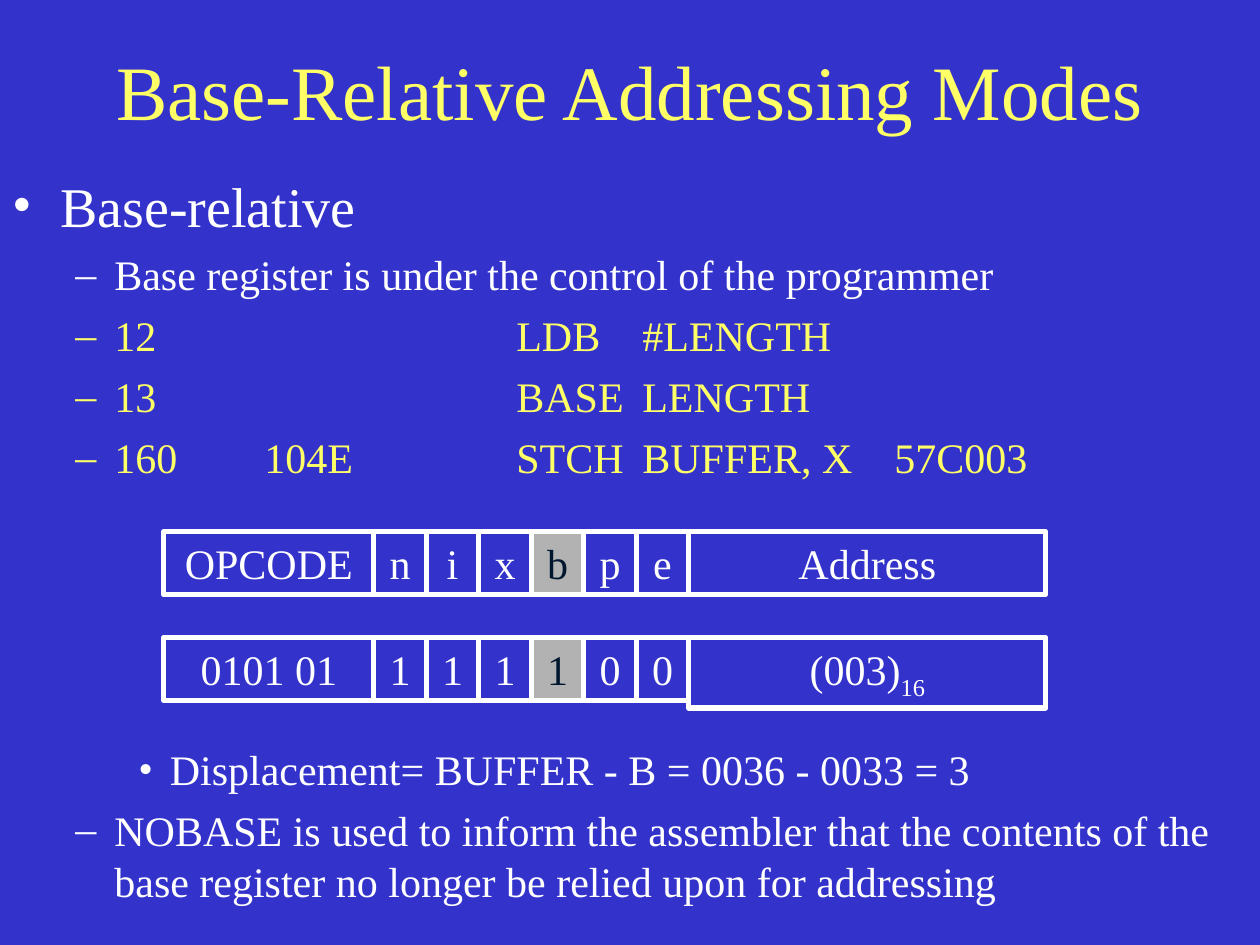
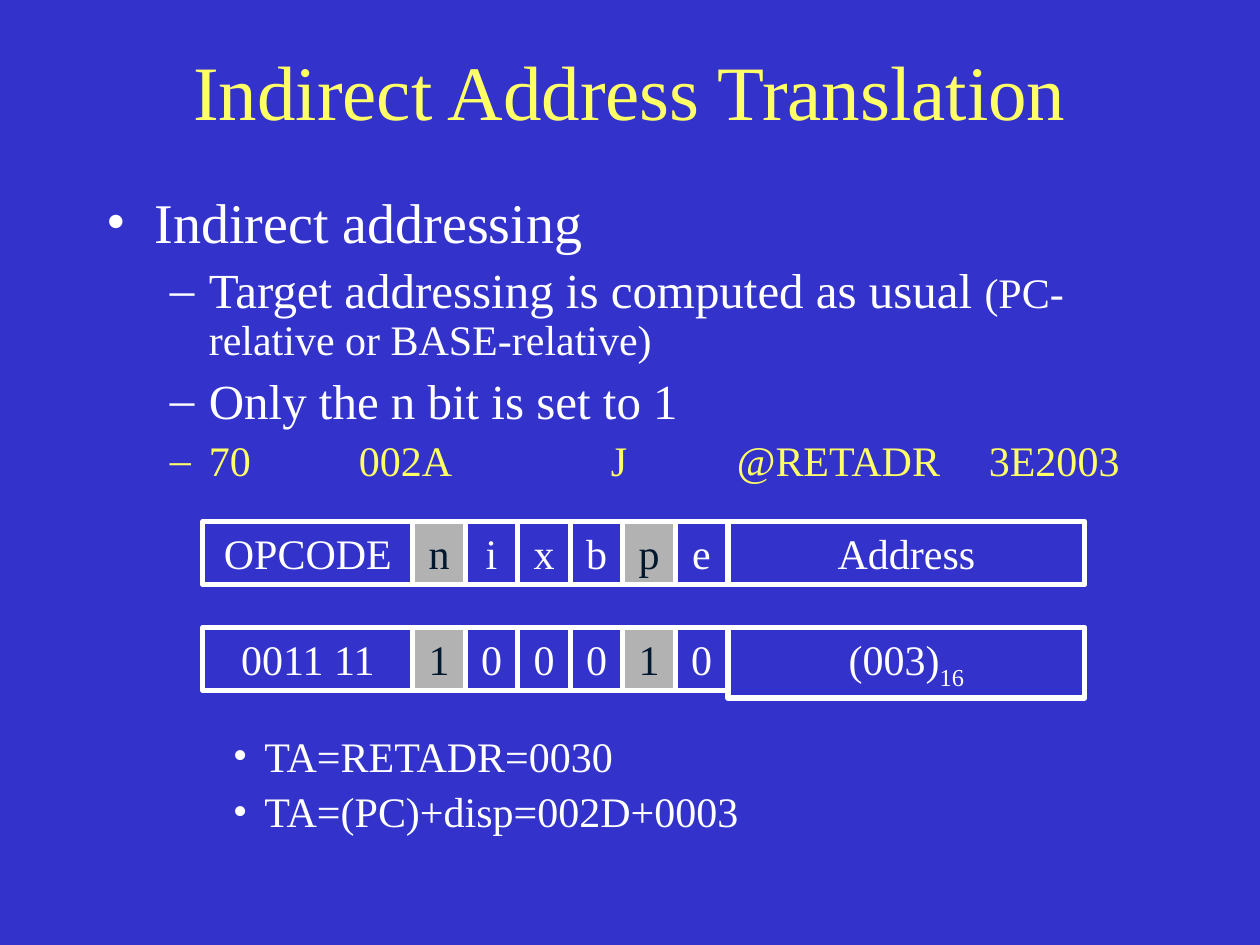
"""Build two slides on base-relative and indirect addressing."""
from lxml import etree
from pptx import Presentation
from pptx.dml.color import RGBColor
from pptx.enum.shapes import MSO_SHAPE
from pptx.enum.text import MSO_ANCHOR, PP_ALIGN
from pptx.oxml.ns import qn
from pptx.util import Inches, Pt

RECT = MSO_SHAPE.RECTANGLE
TOP, MIDDLE = MSO_ANCHOR.TOP, MSO_ANCHOR.MIDDLE
CENTER = PP_ALIGN.CENTER

BLUE = RGBColor(0x33, 0x33, 0xCC)
YELLOW = RGBColor(0xFF, 0xFF, 0x66)
WHITE = RGBColor(0xFF, 0xFF, 0xFF)
GREY = RGBColor(0xB2, 0xB2, 0xB2)
NAVY = RGBColor(0x00, 0x17, 0x2E)
FONT = "Times New Roman"

LEVELS = [("•", 0.38, 0.38), ("–", 0.81, 0.31), ("•", 1.25, 0.25)]
FIELDS = ["OPCODE", "n", "i", "x", "b", "p", "e", "Address"]
UNIT = 5 / 12
FIELD_UNITS = [4, 1, 1, 1, 1, 1, 1, 6.8]
ROW_PITCH, ROW_HEIGHT, SUBSCRIPT_HEIGHT = 0.84, 0.5, 0.56

# Each paragraph: level, space before, colour, runs of (text, size)
SLIDES = [
    {
        "title": "Base-Relative Addressing Modes",
        "body_at": (0, 1.31, 9.8, 5.92),
        "line_spacing": 1.0,
        "body": [
            (0, 0, WHITE, [("Base-relative", 32)]),
            (1, 6, WHITE, [("Base register is under the control of the programmer", 24)]),
            (1, 6, YELLOW, [("12\t\t\tLDB\t#LENGTH", 24)]),
            (1, 6, YELLOW, [("13\t\t\tBASE\tLENGTH", 24)]),
            (1, 6, YELLOW, [("160\t104E\t\tSTCH\tBUFFER, X\t57C003", 24)]),
            (2, 149.5, WHITE, [("Displacement= BUFFER - B = 0036 - 0033 = 3", 24)]),
            (1, 6, WHITE, [("NOBASE is used to inform the assembler that the contents of "
                            "the base register no longer be relied upon for addressing", 24)]),
        ],
        "format_at": (1.3, 4.22),
        "values": ["0101 01", "1", "1", "1", "1", "0", "0", "(003)"],
        "marked": "b",
    },
    {
        "title": "Indirect Address Translation",
        "body_at": (0.75, 1.5, 8.5, 5.17),
        "line_spacing": 0.9,
        "body": [
            (0, 0, WHITE, [("Indirect addressing", 32)]),
            (1, 6, WHITE, [("Target addressing is computed as usual ", 28),
                           ("(PC-relative or BASE-relative)", 24)]),
            (1, 7, WHITE, [("Only the n bit is set to 1", 28)]),
            (1, 6, YELLOW, [("70\t002A\t\tJ\t@RETADR\t3E2003", 24)]),
            (2, 143, WHITE, [("TA=RETADR=0030", 24)]),
            (2, 6, WHITE, [("TA=(PC)+disp=002D+0003", 24)]),
        ],
        "format_at": (1.61, 4.14),
        "values": ["0011 11", "1", "0", "0", "0", "1", "0", "(003)"],
        "marked": "np",
    },
]


def add_run(p, text, size, color):
    r = p.add_run()
    r.text = text
    r.font.name = FONT
    r.font.size = Pt(size)
    r.font.color.rgb = color
    return r


def add_bullet(p, level, color):
    char, margin, hanging = LEVELS[level]
    pPr = p._p.get_or_add_pPr()
    pPr.set("marL", str(Inches(margin)))
    pPr.set("indent", str(Inches(-hanging)))
    fill = etree.SubElement(pPr, qn("a:buClr"))
    etree.SubElement(fill, qn("a:srgbClr"), val=str(color))
    etree.SubElement(pPr, qn("a:buFont"), typeface=FONT)
    etree.SubElement(pPr, qn("a:buChar"), char=char)
    tabs = etree.SubElement(pPr, qn("a:tabLst"))
    for inch in range(1, 9):
        etree.SubElement(tabs, qn("a:tab"), pos=str(Inches(inch)), algn="l")


def add_title(s, text):
    sp = s.shapes.title
    sp.left, sp.top, sp.width, sp.height = map(Inches, (0.75, 0.25, 8.5, 0.92))
    tf = sp.text_frame
    tf.vertical_anchor = MIDDLE
    p = tf.paragraphs[0]
    p.alignment = CENTER
    add_run(p, text, 44, YELLOW)


def add_body(s, at, paragraphs, line_spacing):
    tf = s.shapes.add_textbox(*map(Inches, at)).text_frame
    tf.word_wrap = True
    for i, (level, before, color, runs) in enumerate(paragraphs):
        p = tf.add_paragraph() if i else tf.paragraphs[0]
        add_bullet(p, level, color)
        p.level = level
        p.line_spacing = line_spacing
        p.space_before = Pt(before)
        for text, size in runs:
            add_run(p, text, size, color)


def add_cell(s, at, text, marked, subscript):
    sp = s.shapes.add_shape(RECT, *map(Inches, at))
    sp.shadow.inherit = False
    sp.line.color.rgb = WHITE
    sp.line.width = Pt(3)
    if marked:
        sp.fill.solid()
        sp.fill.fore_color.rgb = GREY
    else:
        sp.fill.background()
    tf = sp.text_frame
    tf.word_wrap = True
    tf.vertical_anchor = TOP
    p = tf.paragraphs[0]
    p.alignment = CENTER
    color = NAVY if marked else WHITE
    add_run(p, text, 24, color)
    if subscript:
        r = add_run(p, subscript, 24, color)
        r.font._element.set("baseline", "-25000")


def add_format(s, at, values, marked):
    left, top = at
    for row, texts in enumerate((FIELDS, values)):
        x, y = left, top + row * ROW_PITCH
        for field, units, text in zip(FIELDS, FIELD_UNITS, texts):
            subscript = "16" if row and field == "Address" else ""
            height = SUBSCRIPT_HEIGHT if subscript else ROW_HEIGHT
            add_cell(s, (x, y, units * UNIT, height), text, field in marked, subscript)
            x += units * UNIT


def main():
    prs = Presentation()
    prs.slide_width, prs.slide_height = Inches(10), Inches(7.5)
    fill = prs.slide_master.background.fill
    fill.solid()
    fill.fore_color.rgb = BLUE
    for item in SLIDES:
        s = prs.slides.add_slide(prs.slide_layouts[5])
        add_title(s, item["title"])
        add_body(s, item["body_at"], item["body"], item["line_spacing"])
        add_format(s, item["format_at"], item["values"], item["marked"])
    prs.save("out.pptx")


if __name__ == "__main__":
    main()
